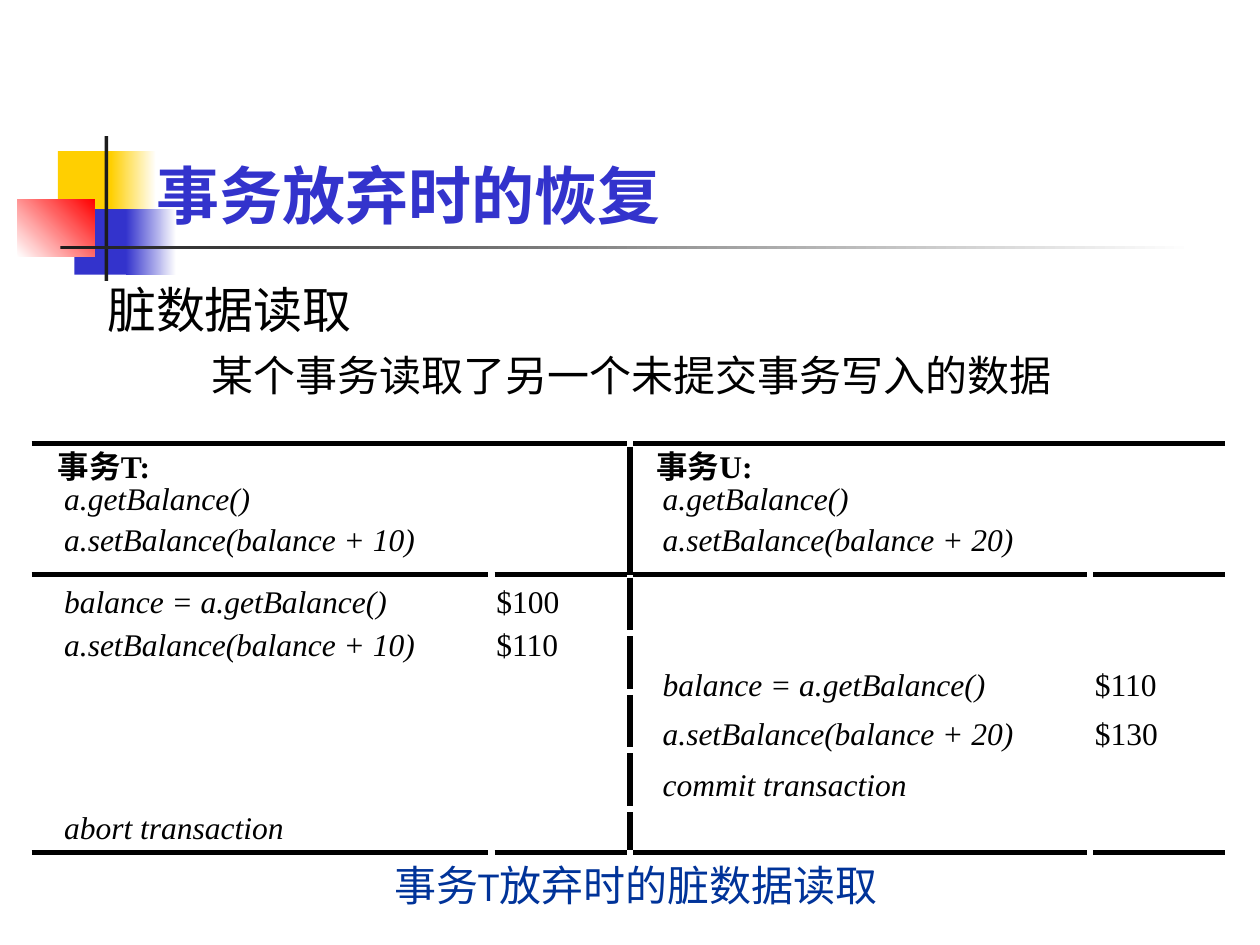
from pptx import Presentation
from pptx.dml.color import RGBColor
from pptx.enum.shapes import MSO_CONNECTOR, MSO_SHAPE
from pptx.enum.text import MSO_ANCHOR, MSO_AUTO_SIZE, PP_ALIGN
from pptx.oxml.ns import qn
from pptx.util import Inches, Pt
from lxml.etree import SubElement

FONT = "Times New Roman"
CALLS = ["a.getBalance()", "a.setBalance(balance + {})"]


def color(value):
    """Turn a hex string into a colour."""
    return RGBColor.from_string(value)


def write(para, text, size, hue="000000", face=FONT, bold=False, slant=False):
    """Add one styled run to a paragraph."""
    run = para.add_run()
    run.text = text
    font = run.font
    font.name, font.size = face, Pt(size)
    font.bold, font.italic = bold, slant
    font.color.rgb = color(hue)


def place(shape, box):
    """Move a shape into a box given in inches."""
    shape.left, shape.top, shape.width, shape.height = map(Inches, box)


def block(slide, box, first, last=None, angle=0):
    """Draw a plain or gradient rectangle."""
    shape = slide.shapes.add_shape(MSO_SHAPE.RECTANGLE, *map(Inches, box))
    shape.shadow.inherit = False
    shape.line.fill.background()
    if last is None:
        shape.fill.solid()
        shape.fill.fore_color.rgb = color(first)
        return
    shape.fill.gradient()
    shape.fill.gradient_angle = angle
    for stop, hue in zip(shape.fill.gradient_stops, (first, last)):
        stop.color.rgb = color(hue)


def rule(slide, *ends):
    """Draw a black line between two points."""
    line = slide.shapes.add_connector(MSO_CONNECTOR.STRAIGHT, *map(Inches, ends))
    line.line.color.rgb = color("000000")
    line.line.width = Pt(2.86)
    SubElement(line._element.spPr, qn("a:effectLst"))


def label(slide, x, y, text, **style):
    """Put a line of table text at a point."""
    shape = slide.shapes.add_textbox(Inches(x), Inches(y), Inches(2.8), Inches(0.3))
    frame = shape.text_frame
    frame.margin_left = frame.margin_right = 0
    frame.margin_top = frame.margin_bottom = 0
    frame.word_wrap = False
    write(frame.paragraphs[0], text, 18, **style)


def emblem(slide, x, y):
    """Draw the coloured blocks and bars beside the title."""
    parts = [
        (0.32, 0.12, 0.48, 0.52, "FFCF01"),
        (0.74, 0.12, 0.36, 0.52, "FFCF01", "FFFFFF"),
        (0.45, 0.58, 0.46, 0.52, "3333CC"),
        (0.86, 0.58, 0.4, 0.52, "3333CC", "FFFFFF"),
        (0, 0.5, 0.61, 0.46, "FFFFFF", "FF0000", 45),
        (0.69, 0, 0.03, 1.15, "1C1C1C"),
        (0.34, 0.87, 9, 0.03, "1C1C1C", "FFFFFF"),
    ]
    for left, top, wide, high, *paint in parts:
        block(slide, (x + left, y + top, wide, high), *paint)


def heading(slide, box):
    """Fill the title placeholder."""
    title = slide.shapes.title
    place(title, box)
    title.text_frame.vertical_anchor = MSO_ANCHOR.BOTTOM
    para = title.text_frame.paragraphs[0]
    para.alignment = PP_ALIGN.LEFT
    write(para, "事务放弃时的恢复", 36, "3333CC", bold=True)


def outline(slide, box):
    """Fill the body placeholder with two levels."""
    body = slide.placeholders[1]
    place(body, box)
    frame = body.text_frame
    frame.auto_size = MSO_AUTO_SIZE.NONE
    items = [("脏数据读取", 28, 0, 0), ("某个事务读取了另一个未提交事务写入的数据", 24, 0.83, 6)]
    for level, (text, size, indent, space) in enumerate(items):
        para = frame.add_paragraph() if level else frame.paragraphs[0]
        para.level = level
        props = para._p.get_or_add_pPr()
        props.set("marL", str(Inches(indent)))
        props.set("indent", "0")
        SubElement(props, qn("a:buNone"))
        para.space_before = Pt(space)
        write(para, text, size)


def grid(slide, x, y, width, height):
    """Rule the schedule with small gaps at the crossings."""
    gap, middle, right, base = 0.025, x + 4.75, x + width, y + height
    head = y + 1.04
    cuts = [x + 3.65, middle, x + 8.4]
    for level, stops in ((y, [middle]), (head, cuts), (base, cuts)):
        starts = [x] + [cut + gap for cut in stops]
        ends = [cut - gap for cut in stops] + [right]
        for start, end in zip(starts, ends):
            rule(slide, start, level, end, level)
    rule(slide, middle, y + gap, middle, head)
    step = 0.465
    for row in range(5):
        top = head + row * step + gap
        rule(slide, middle, top, middle, min(top + step - 2 * gap, base - gap))


def process(slide, x, y, name, amount, steps):
    """Write one transaction's heading and timed steps."""
    label(slide, x - 0.05, y, f"事务{name}:", bold=True)
    for top, call in zip((0.25, 0.58), CALLS):
        label(slide, x, y + top, call.format(amount), slant=True)
    for top, call, value in steps:
        label(slide, x, y + top, call, slant=True)
        if value:
            label(slide, x + 3.43, y + top, value)


def caption(slide, box):
    """Write the line below the schedule."""
    shape = slide.shapes.add_textbox(*map(Inches, box))
    shape.text_frame.word_wrap = True
    para = shape.text_frame.paragraphs[0]
    para.line_spacing = 0.9
    write(para, "事务T放弃时的脏数据读取", 24, "003399", "Karla")


def main():
    """Build and save the slide."""
    deck = Presentation()
    deck.slide_width, deck.slide_height = Inches(10), Inches(7.5)
    slide = deck.slides.add_slide(deck.slide_layouts[1])
    emblem(slide, 0.14, 1.08)
    heading(slide, (1.14, 0.91, 7.4, 0.98))
    outline(slide, (0.75, 2.17, 8.9, 4.96))
    grid(slide, 0.25, 3.52, 9.47, 3.25)
    read = "balance = " + CALLS[0]
    process(slide, 0.51, 3.55, "T", 10, [
        (1.07, read, "$100"),
        (1.41, CALLS[1].format(10), "$110"),
        (2.86, "abort transaction", ""),
    ])
    process(slide, 5.26, 3.55, "U", 20, [
        (1.73, read, "$110"),
        (2.12, CALLS[1].format(20), "$130"),
        (2.52, "commit transaction", ""),
    ])
    caption(slide, (3.03, 6.82, 4.41, 0.59))
    deck.save("out.pptx")


if __name__ == "__main__":
    main()
